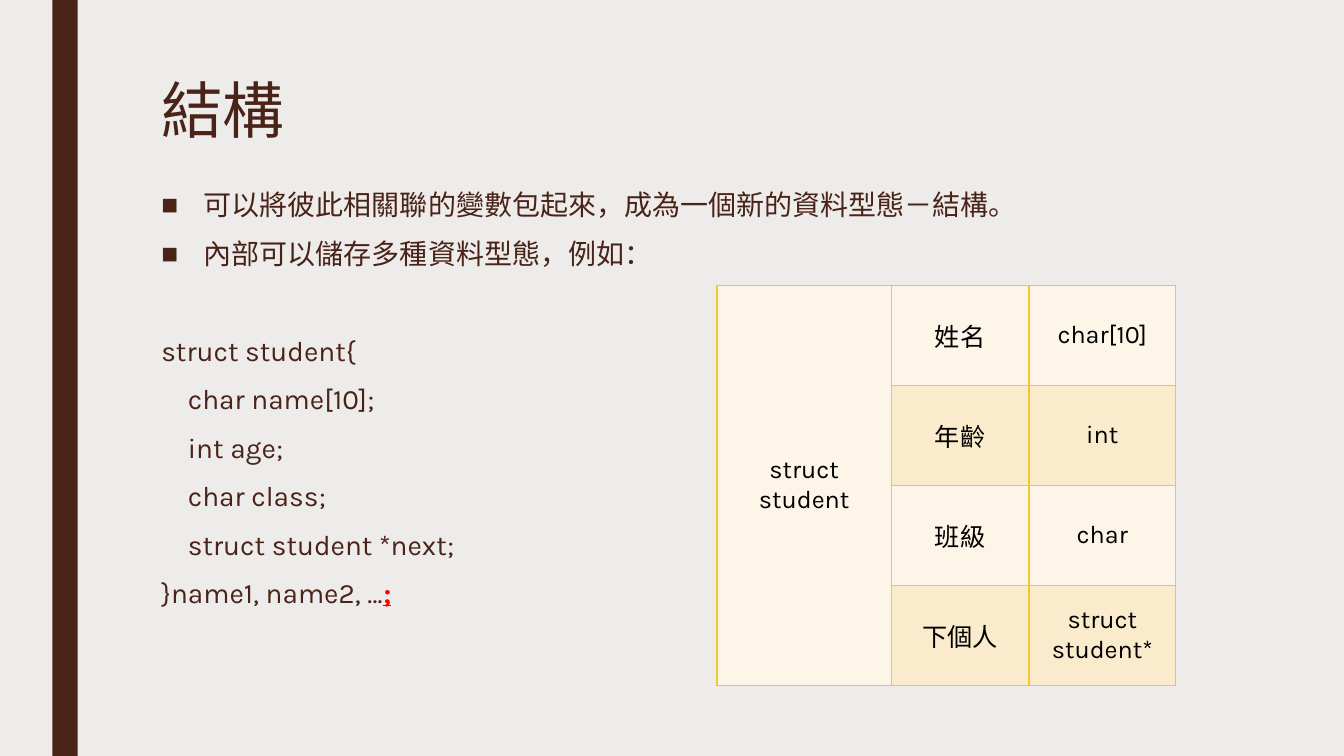
from pptx import Presentation
from pptx.dml.color import RGBColor
from pptx.enum.shapes import MSO_SHAPE
from pptx.enum.text import MSO_ANCHOR, MSO_AUTO_SIZE, PP_ALIGN
from pptx.oxml.xmlchemy import OxmlElement
from pptx.util import Cm, Pt

RECTANGLE = MSO_SHAPE.RECTANGLE
TOP, MIDDLE = MSO_ANCHOR.TOP, MSO_ANCHOR.MIDDLE
LEFT, CENTER = PP_ALIGN.LEFT, PP_ALIGN.CENTER
NO_FIT = MSO_AUTO_SIZE.NONE

FONT = "Karla"
BROWN, PAPER, RED, BLACK = "4A2318", "EDECEB", "FF0000", "000000"
GOLD, CREAM, SAND = "F3C82E", "FDF5E8", "FAEBCD"

POINTS = [
    "可以將彼此相關聯的變數包起來，成為一個新的資料型態－結構。",
    "內部可以儲存多種資料型態，例如：",
]
STRUCT_OPENING = "struct student{"
MEMBERS = ["char name[10];", "int age;", "char class;", "struct student *next;"]
STRUCT_CLOSING = "}name1, name2, …"
FIELDS = [("姓名", "char[10]"), ("年齡", "int"), ("班級", "char"), ("下個人", "struct student*")]


def rgb(hex_color):
    """Turn a hex string into a colour."""
    return RGBColor.from_string(hex_color)


def style_runs(paragraph, size, color):
    """Give every run of a paragraph the slide font, a size and a colour."""
    for run in paragraph.runs:
        run.font.name = FONT
        run.font.size = Pt(size)
        run.font.color.rgb = rgb(color)


def place(region, box):
    """Move a placeholder to a box given in centimetres and prepare its text frame."""
    region.left, region.top, region.width, region.height = map(Cm, box)
    frame = region.text_frame
    frame.word_wrap = True
    frame.auto_size = NO_FIT
    frame.vertical_anchor = TOP
    return frame


def set_indent(paragraph, margin, bullet=None):
    """Set the left margin in centimetres, hanging a bullet in it if one is given."""
    properties = paragraph._p.get_or_add_pPr()
    properties.set("marL", str(Cm(margin)))
    properties.set("indent", str(Cm(-margin if bullet else 0)))
    mark = OxmlElement("a:buChar" if bullet else "a:buNone")
    if bullet:
        mark.set("char", bullet)
    properties.append(mark)


def add_side_bar(slide, box):
    """Draw the vertical bar at the left edge."""
    bar = slide.shapes.add_shape(RECTANGLE, *map(Cm, box))
    bar.shadow.inherit = False
    bar.fill.solid()
    bar.fill.fore_color.rgb = rgb(BROWN)
    bar.line.fill.background()


def fill_title(slide, box, heading):
    """Write the slide title."""
    frame = place(slide.shapes.title, box)
    frame.text = heading
    paragraph = frame.paragraphs[0]
    paragraph.alignment = LEFT
    paragraph.line_spacing = 0.89
    style_runs(paragraph, 44, BROWN)


def fill_body(slide, box):
    """Write the bulleted points and the struct declaration below them."""
    frame = place(slide.placeholders[1], box)
    lines = [(point, 1.07, "■") for point in POINTS]
    lines.append((STRUCT_OPENING, 0, None))
    lines += [(member, 0.67, None) for member in MEMBERS]
    lines.append((STRUCT_CLOSING, 0, None))
    frame.text = "\n".join(line for line, _, _ in lines)
    for paragraph, (line, margin, bullet) in zip(frame.paragraphs, lines):
        paragraph.alignment = LEFT
        paragraph.line_spacing = 0.94
        paragraph.space_before = Pt(45 if line == STRUCT_OPENING else 10)
        paragraph.space_after = Pt(2)
        set_indent(paragraph, margin, bullet)
        style_runs(paragraph, 20, BROWN)
    closing = frame.paragraphs[-1]
    semicolon = closing.add_run()
    semicolon.text = ";"
    style_runs(closing, 20, BROWN)
    semicolon.font.color.rgb = rgb(RED)
    semicolon.font.bold = True
    semicolon.font.underline = True


def add_borders(cell):
    """Draw a gold line on all four sides of a cell."""
    properties = cell._tc.get_or_add_tcPr()
    for position, side in enumerate(("a:lnL", "a:lnR", "a:lnT", "a:lnB")):
        border = OxmlElement(side)
        border.set("w", str(Pt(1)))
        solid = OxmlElement("a:solidFill")
        color = OxmlElement("a:srgbClr")
        color.set("val", GOLD)
        solid.append(color)
        border.append(solid)
        properties.insert(position, border)


def style_cell(cell, color):
    """Fill, outline and centre a table cell."""
    cell.fill.solid()
    cell.fill.fore_color.rgb = rgb(color)
    cell.vertical_anchor = MIDDLE
    add_borders(cell)
    for paragraph in cell.text_frame.paragraphs:
        paragraph.alignment = CENTER
        style_runs(paragraph, 18, BLACK)


def add_struct_table(slide, box, column_shares):
    """Build the table of struct members with one merged cell for the struct."""
    table = slide.shapes.add_table(len(FIELDS), len(column_shares), *map(Cm, box)).table
    table.first_row = False
    table.horz_banding = False
    for column, share in zip(table.columns, column_shares):
        column.width = Cm(box[2] * share)
    table.cell(0, 0).merge(table.cell(len(FIELDS) - 1, 0))
    table.cell(0, 0).text = "struct student"
    for index, (member, data_type) in enumerate(FIELDS):
        table.rows[index].height = Cm(box[3] / len(FIELDS))
        table.cell(index, 1).text = member
        table.cell(index, 2).text = data_type
        band = SAND if index % 2 else CREAM
        for column, color in enumerate((CREAM, band, band)):
            style_cell(table.cell(index, column), color)


def build_struct_slide(presentation):
    """Lay out the slide that explains structures."""
    slide = presentation.slides.add_slide(presentation.slide_layouts[1])
    slide.background.fill.solid()
    slide.background.fill.fore_color.rgb = rgb(PAPER)
    add_side_bar(slide, (1.32, 0, 0.64, 19.05))
    fill_title(slide, (3.81, 1.9, 26.67, 2.26), "結構")
    fill_body(slide, (3.81, 4.67, 26.67, 12.6))
    add_struct_table(slide, (18.07, 7.19, 11.56, 10.08), (0.38, 0.3, 0.32))


def main():
    """Create and save the presentation."""
    presentation = Presentation()
    presentation.slide_width = Cm(33.87)
    presentation.slide_height = Cm(19.05)
    build_struct_slide(presentation)
    presentation.save("out.pptx")


if __name__ == "__main__":
    main()
